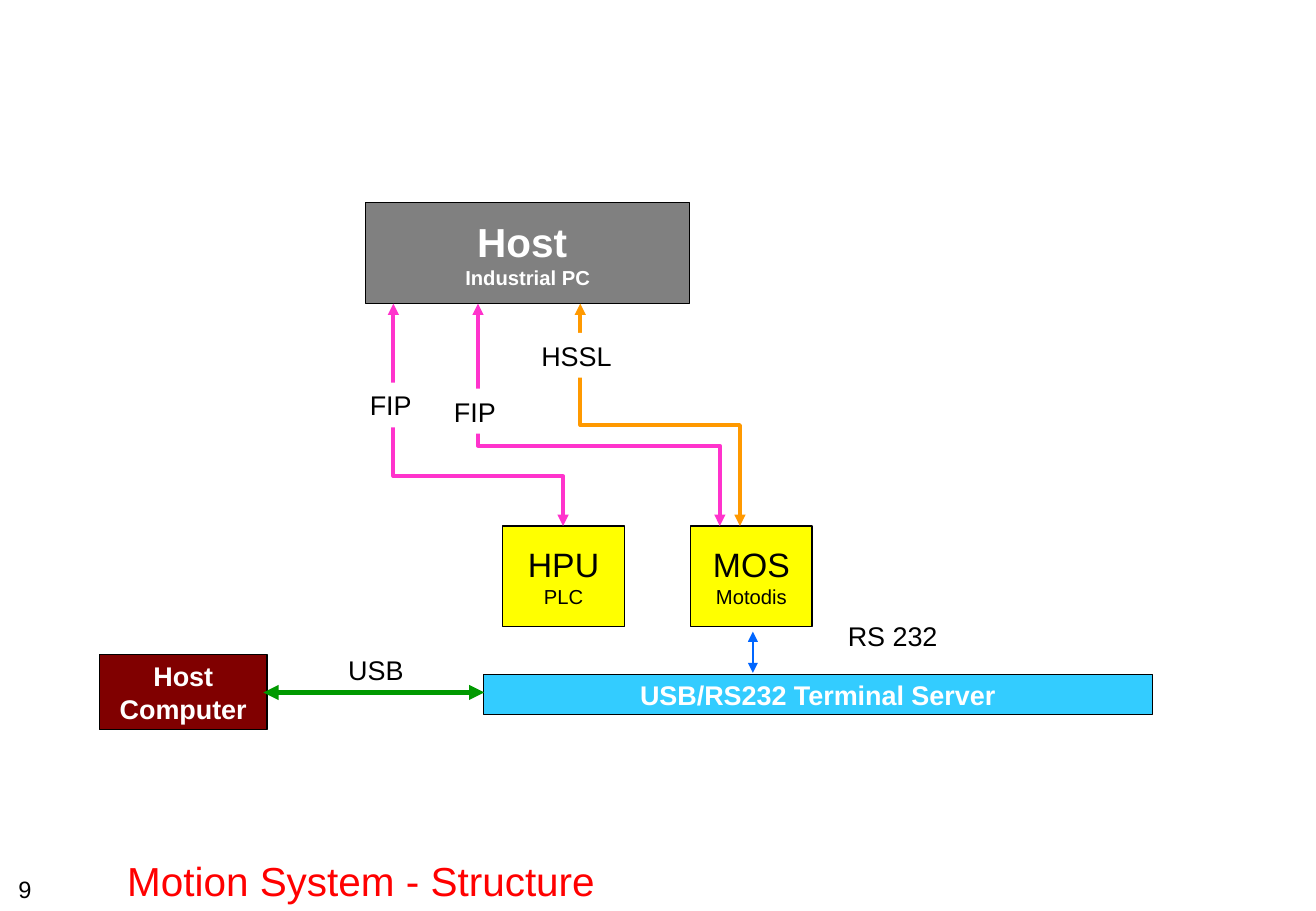
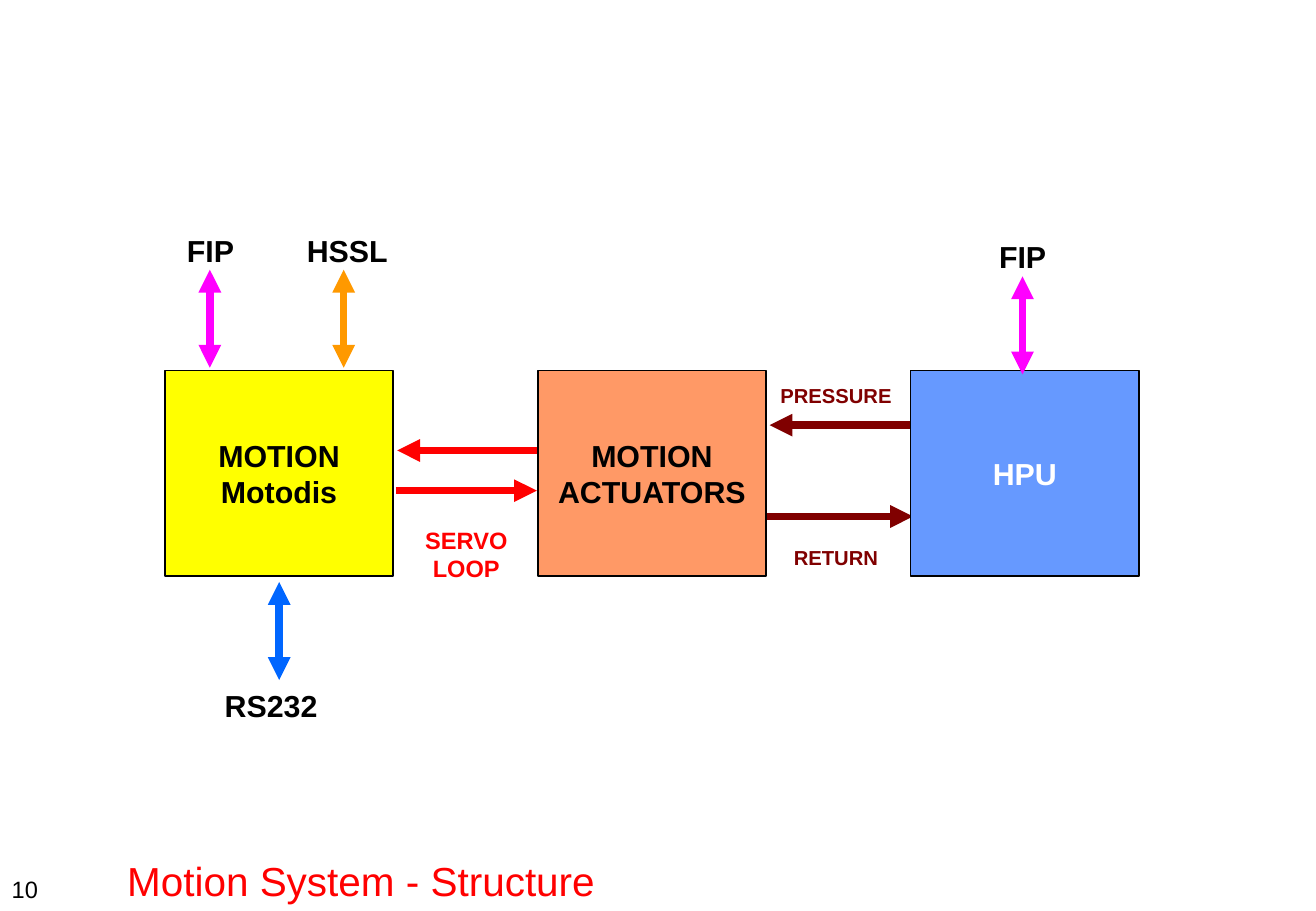
from dataclasses import dataclass

from lxml import etree
from pptx import Presentation
from pptx.dml.color import RGBColor
from pptx.enum.shapes import MSO_CONNECTOR, MSO_SHAPE
from pptx.enum.text import MSO_ANCHOR, PP_ALIGN
from pptx.oxml.ns import qn
from pptx.util import Cm, Pt

RECTANGLE = MSO_SHAPE.RECTANGLE
STRAIGHT = MSO_CONNECTOR.STRAIGHT
LEFT, CENTER = PP_ALIGN.LEFT, PP_ALIGN.CENTER
TOP, MIDDLE, BOTTOM = MSO_ANCHOR.TOP, MSO_ANCHOR.MIDDLE, MSO_ANCHOR.BOTTOM


@dataclass(frozen=True)
class Theme:
    font: str = "Arial"
    black: str = "000000"
    white: str = "FFFFFF"
    red: str = "FF0000"
    maroon: str = "800000"
    gray: str = "808080"
    yellow: str = "FFFF00"
    sky: str = "33CCFF"
    salmon: str = "FF9966"
    periwinkle: str = "6699FF"
    orange: str = "FF9900"
    pink: str = "FF33CC"
    magenta: str = "FF00FF"
    blue: str = "0066FF"
    green: str = "009900"
    title: int = 24
    unit: int = 20
    block: int = 18
    label: int = 16
    note: int = 14
    small: int = 12


THEME = Theme()
TITLE = "Motion System - Structure"
FIRST_NUMBER = 9

# Places are in centimetres: left, top, width, height.
# Network blocks: place, fill, outline points, text colour, bold, (text, size) lines
NETWORK_BLOCKS = [
    ((7.65, 4.24, 6.78, 2.11), THEME.gray, 0.75, THEME.white, True,
     [("Host ", THEME.title), ("Industrial PC", THEME.small)]),
    ((14.45, 11, 2.54, 2.11), THEME.yellow, 0.75, THEME.black, False,
     [("MOS", THEME.unit), ("Motodis", THEME.small)]),
    ((10.52, 11, 2.54, 2.11), THEME.yellow, 0.75, THEME.black, False,
     [("HPU", THEME.unit), ("PLC", THEME.small)]),
    ((10.11, 14.1, 14, 0.84), THEME.sky, 0.75, THEME.white, True,
     [("USB/RS232 Terminal Server", THEME.label)]),
    ((2.08, 13.69, 3.51, 1.57), THEME.maroon, 1, THEME.white, True,
     [("Host", THEME.label), ("Computer", THEME.label)]),
]
# Routes: x at the host, y of the bend, x at the unit, colour
HOST_BOTTOM, UNIT_TOP = 6.35, 11
ROUTES = [
    (12.14, 8.89, 15.48, THEME.orange),
    (10, 9.32, 15.06, THEME.pink),
    (8.23, 9.96, 11.78, THEME.pink),
]
LINK_LABEL_HEIGHT = 0.94
LINK_LABELS = [  # left, top, width, text
    (9.25, 8.13, 1.37, "FIP"),
    (11.07, 6.96, 1.98, "HSSL"),
    (7.49, 8, 1.37, "FIP"),
    (7.04, 13.54, 1.65, "USB"),
    (17.48, 12.83, 2.39, "RS 232"),
]
# Arrows: start, end, colour, points
LINKS = [
    ((15.75, 13.21), (15.75, 14.07), THEME.blue, 1.5),
    ((5.51, 14.48), (10.13, 14.48), THEME.green, 3),
]

# Loop blocks, left to right: lines, fill, text colour
LOOP_BLOCKS = [
    (["MOTION", "Motodis"], THEME.yellow, THEME.black),
    (["MOTION", "ACTUATORS"], THEME.salmon, THEME.black),
    (["HPU"], THEME.periwinkle, THEME.white),
]
LOOP_LEFT, LOOP_TOP, LOOP_STEP = 3.45, 7.75, 7.8
LOOP_WIDTH, LOOP_HEIGHT = 4.78, 4.29
FLOWS = [  # start, end (pointed), colour
    ((11.25, 9.42), (8.31, 9.42), THEME.red),
    ((8.28, 10.26), (11.23, 10.26), THEME.red),
    ((19.18, 8.89), (16.1, 8.89), THEME.maroon),
    ((15.98, 10.8), (19.1, 10.8), THEME.maroon),
]
FLOW_LABELS = [  # place, lines, colour, size
    ((8.36, 10.87, 2.79, 1.42), ["SERVO", "LOOP"], THEME.red, THEME.note),
    ((15.6, 7.9, 3.78, 0.76), ["PRESSURE"], THEME.maroon, THEME.small),
    ((15.6, 11.28, 3.78, 0.76), ["RETURN"], THEME.maroon, THEME.small),
]
BUS_LENGTH, BUS_POINTS = 2.05, 4.5
BUSES = [  # arrow x, arrow top, colour, label, label left, label top
    (4.39, 5.64, THEME.magenta, "FIP", 3.66, 4.72),
    (7.19, 5.64, THEME.orange, "HSSL", 6.17, 4.72),
    (21.39, 5.78, THEME.magenta, "FIP", 20.65, 4.86),
    (5.84, 12.17, THEME.blue, "RS232", 4.45, 14.25),
]


def write_text(shape, lines, color, bold=False, align=CENTER, anchor=MIDDLE,
               wrap=False):
    """Put (text, size) lines into a shape, one paragraph each."""
    frame = shape.text_frame
    frame.word_wrap = wrap
    frame.vertical_anchor = anchor
    for index, (text, size) in enumerate(lines):
        paragraph = frame.add_paragraph() if index else frame.paragraphs[0]
        paragraph.alignment = align
        run = paragraph.add_run()
        run.text = text
        run.font.name = THEME.font
        run.font.size = Pt(size)
        run.font.bold = bold
        run.font.color.rgb = RGBColor.from_string(color)


def add_text(slide, place, lines, color, **style):
    box = slide.shapes.add_textbox(*map(Cm, place))
    write_text(box, lines, color, **style)
    return box


def add_block(slide, place, fill, points, lines, color, bold=False):
    """Draw a filled rectangle; zero points means no outline."""
    block = slide.shapes.add_shape(RECTANGLE, *map(Cm, place))
    block.shadow.inherit = False
    block.fill.solid()
    block.fill.fore_color.rgb = RGBColor.from_string(fill)
    if points:
        block.line.color.rgb = RGBColor.from_string(THEME.black)
        block.line.width = Pt(points)
    else:
        block.line.fill.background()
    write_text(block, lines, color, bold)


def style_arrow(line, color, points, ends):
    line.color.rgb = RGBColor.from_string(color)
    line.width = Pt(points)
    outline = line._get_or_add_ln()
    for end in ends:
        etree.SubElement(outline, qn(f"a:{end}"), type="triangle")


def add_arrow(slide, start, end, color, points, ends=("headEnd", "tailEnd")):
    arrow = slide.shapes.add_connector(STRAIGHT, *map(Cm, start + end))
    style_arrow(arrow.line, color, points, ends)
    etree.SubElement(arrow._element.spPr, qn("a:effectLst"))


def add_route(slide, host_x, bend_y, unit_x, color):
    """Draw a stepped double arrow from the host down to a unit."""
    corners = [(host_x, bend_y), (unit_x, bend_y), (unit_x, UNIT_TOP)]
    builder = slide.shapes.build_freeform(Cm(host_x), Cm(HOST_BOTTOM))
    builder.add_line_segments([(Cm(x), Cm(y)) for x, y in corners], close=False)
    route = builder.convert_to_shape()
    route.shadow.inherit = False
    route.fill.background()
    style_arrow(route.line, color, 2.25, ("headEnd", "tailEnd"))


def draw_network(slide):
    for place, fill, points, color, bold, lines in NETWORK_BLOCKS:
        add_block(slide, place, fill, points, lines, color, bold)
    for route in ROUTES:
        add_route(slide, *route)
    for left, top, width, text in LINK_LABELS:
        add_block(slide, (left, top, width, LINK_LABEL_HEIGHT), THEME.white, 0,
                  [(text, THEME.label)], THEME.black)
    for link in LINKS:
        add_arrow(slide, *link)


def draw_loop(slide):
    for start, end, color in FLOWS:
        add_arrow(slide, start, end, color, BUS_POINTS, ("tailEnd",))
    for place, texts, color, size in FLOW_LABELS:
        add_text(slide, place, [(text, size) for text in texts], color,
                 bold=True, anchor=TOP, wrap=True)
    for index, (texts, fill, color) in enumerate(LOOP_BLOCKS):
        place = (LOOP_LEFT + index * LOOP_STEP, LOOP_TOP, LOOP_WIDTH, LOOP_HEIGHT)
        add_block(slide, place, fill, 1,
                  [(text, THEME.block) for text in texts], color, True)
    for x, top, color, text, left, label_top in BUSES:
        add_arrow(slide, (x, top), (x, top + BUS_LENGTH), color, BUS_POINTS)
        add_text(slide, (left, label_top, 2.8, 1.02), [(text, THEME.block)],
                 THEME.black, bold=True, align=LEFT, anchor=TOP, wrap=True)


def add_footer(slide, number):
    number_box = add_text(slide, (0, 18.16, 1.04, 0.86),
                          [(str(number), THEME.note)], THEME.black)
    number_box.text_frame.margin_left = number_box.text_frame.margin_right = 0
    add_text(slide, (2.41, 17.75, 25.1, 1.3), [(TITLE, THEME.title)], THEME.red,
             align=LEFT, anchor=BOTTOM, wrap=True)


def main():
    presentation = Presentation()
    presentation.slide_width = Cm(27.53)
    presentation.slide_height = Cm(19.05)
    blank = presentation.slide_layouts[6]
    for number, draw in enumerate((draw_network, draw_loop), FIRST_NUMBER):
        slide = presentation.slides.add_slide(blank)
        draw(slide)
        add_footer(slide, number)
    presentation.save("out.pptx")


if __name__ == "__main__":
    main()
